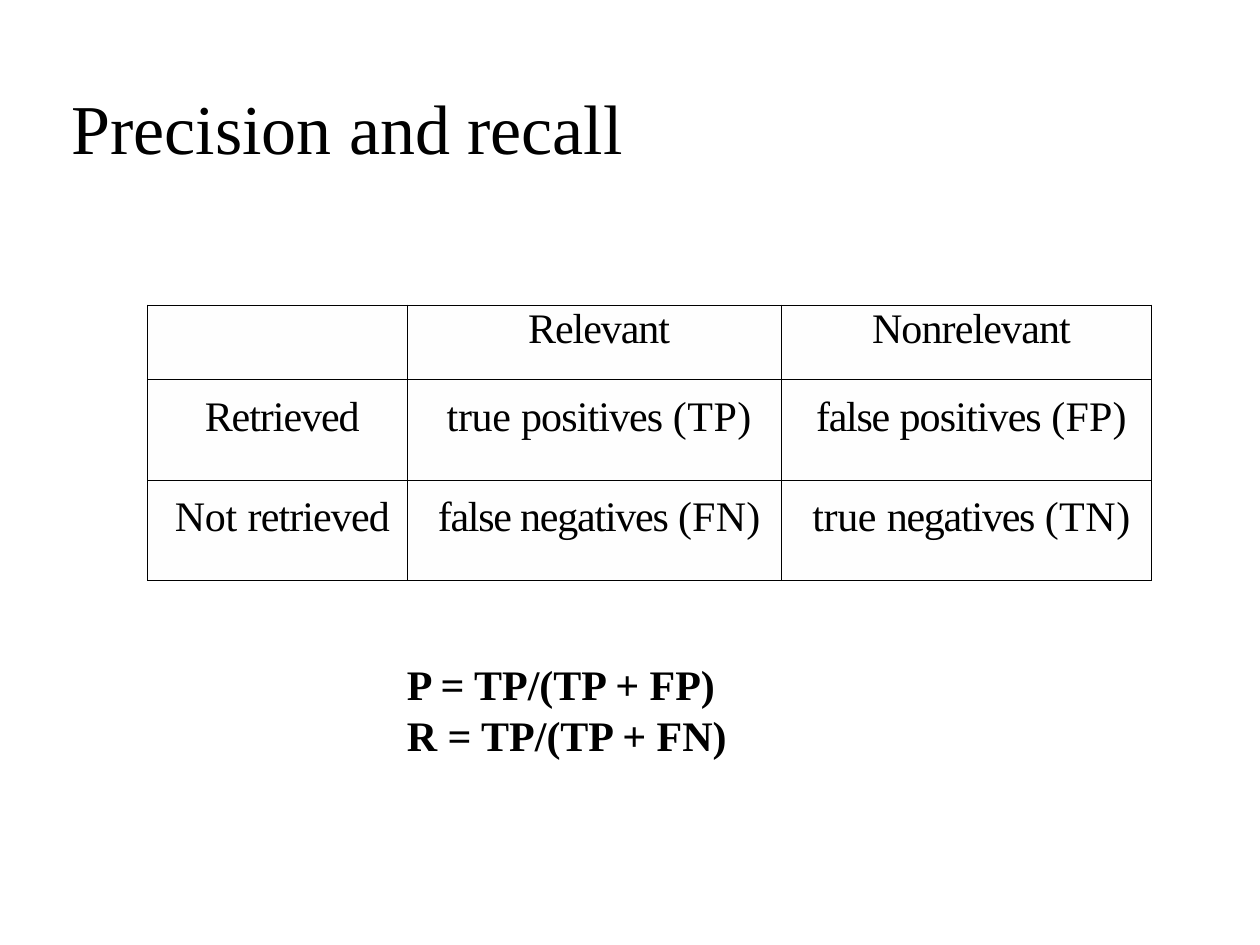
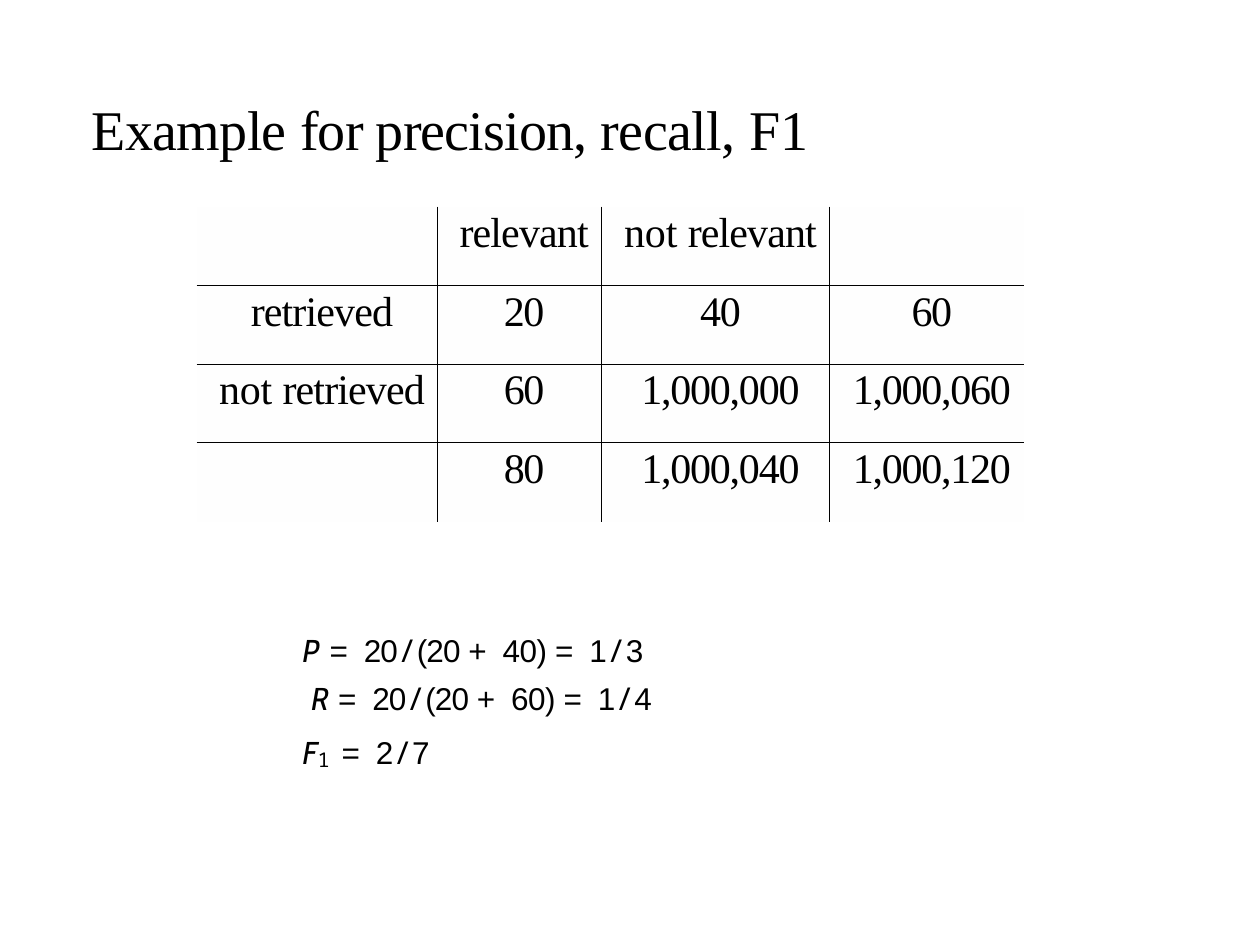
from lxml.etree import SubElement
from pptx import Presentation
from pptx.dml.color import RGBColor
from pptx.enum.text import MSO_ANCHOR, MSO_AUTO_SIZE, PP_ALIGN
from pptx.oxml.ns import qn
from pptx.util import Pt

COLOURS = {"paper": "FFFFFF", "cell": "FEFEFE", "ink": "000000"}
SERIF = "Times New Roman"
TITLE = {"name": SERIF, "size": Pt(40)}
SUBTITLE = {"name": SERIF, "size": Pt(32)}
CELL = {"name": SERIF, "size": Pt(24)}
DEFINITION = {**CELL, "bold": True}
NUMBER = {"name": "Arial", "size": Pt(18)}
VARIABLE = {"name": "Cabin", "size": Pt(18), "italic": True}
SLASH = {"name": "Noto Sans Mono", "size": Pt(18)}
SUBSCRIPT = {"name": "Noto Sans Mono", "size": Pt(20)}
CELL_PARAGRAPH = {"alignment": PP_ALIGN.CENTER, "line_spacing": Pt(11.9)}
FORMULA_PARAGRAPH = {"alignment": PP_ALIGN.JUSTIFY, "line_spacing": 1.25,
                     "space_before": Pt(0.9)}
CELL_INDENT = 5.76
FORMULA_INDENT = 4.3


def rgb(name):
    return RGBColor.from_string(COLOURS[name])


def apply(target, values):
    for name, value in values.items():
        setattr(target, name, value)


def add_run(paragraph, text, style, spacing=0, baseline=0):
    """Spacing is in points, baseline shift in percent."""
    run = paragraph.add_run()
    run.text = text
    apply(run.font, style)
    run.font.color.rgb = rgb("ink")
    for name, value in (("spc", spacing * 100), ("baseline", baseline * 1000)):
        if value:
            run.font._element.set(name, str(round(value)))


def write_paragraph(paragraph, runs, layout, indent=0):
    apply(paragraph, layout)
    if indent:
        paragraph._p.get_or_add_pPr().set("marL", str(Pt(indent)))
    for run in runs:
        add_run(paragraph, *run)


def add_text(slide, box, lines, layout, wrap=True, margins=None):
    """Each line is a pair of its runs and its indent."""
    frame = slide.shapes.add_textbox(*map(Pt, box)).text_frame
    apply(frame, {"word_wrap": wrap, "auto_size": MSO_AUTO_SIZE.SHAPE_TO_FIT_TEXT,
                  **(margins or {})})
    for index, (runs, indent) in enumerate(lines):
        paragraph = frame.add_paragraph() if index else frame.paragraphs[0]
        write_paragraph(paragraph, runs, layout, indent)


def add_border(cell, side, visible):
    line = SubElement(cell._tc.get_or_add_tcPr(), qn(f"a:ln{side}"), w=str(Pt(0.5)))
    if visible:
        fill = SubElement(line, qn("a:solidFill"))
        SubElement(fill, qn("a:srgbClr"), val=COLOURS["ink"])
    else:
        SubElement(line, qn("a:noFill"))


def add_matrix(slide, left, top, widths, heights, rows, framed):
    """Rows hold cells, cells hold (text, spacing) runs; framed draws the outer edges."""
    table = slide.shapes.add_table(
        len(heights), len(widths), Pt(left), Pt(top),
        Pt(sum(widths)), Pt(sum(heights))).table
    apply(table, {"first_row": False, "horz_banding": False})
    for column, width in zip(table.columns, widths):
        column.width = Pt(width)
    for r, (height, row) in enumerate(zip(heights, rows)):
        table.rows[r].height = Pt(height)
        for c, runs in enumerate(row):
            cell = table.cell(r, c)
            apply(cell, {"vertical_anchor": MSO_ANCHOR.MIDDLE, "margin_left": 0,
                         "margin_right": 0, "margin_top": 0, "margin_bottom": 0})
            inner = {"L": c > 0, "R": c < len(widths) - 1,
                     "T": r > 0, "B": r < len(heights) - 1}
            for side, visible in inner.items():
                add_border(cell, side, framed or visible)
            cell.fill.solid()
            cell.fill.fore_color.rgb = rgb("cell")
            write_paragraph(cell.text_frame.paragraphs[0],
                            [(text, CELL, spacing) for text, spacing in runs],
                            CELL_PARAGRAPH, CELL_INDENT)


def ratio(name, spacing, missed, result):
    """Runs of a line such as P = 20/(20 + 40) = 1/3."""
    return [(f"{name} ", VARIABLE, spacing), ("= ", NUMBER, 2), ("20", NUMBER, -0.5),
            ("/", SLASH, -0.5), ("(20 ", NUMBER, -0.5), ("+ ", NUMBER, 2),
            (f"{missed}) ", NUMBER, -0.3), ("= ", NUMBER, 2), ("1", NUMBER, -0.7),
            ("/", SLASH, -0.7), (result, NUMBER, -0.7)]


def add_blank_slide(deck):
    slide = deck.slides.add_slide(deck.slide_layouts[6])
    slide.background.fill.solid()
    slide.background.fill.fore_color.rgb = rgb("paper")
    return slide


def build_definitions(slide):
    add_text(slide, (33.84, 44.64, 333.36, 55.44),
             [([("Precision and recall", TITLE)], 0)], {}, wrap=False)
    add_text(slide, (225.36, 372.96, 219.6, 65.52),
             [([(text, DEFINITION)], 0)
              for text in ("P = TP/(TP + FP)", "R = TP/(TP + FN)")], {})
    outcomes = [
        [[], [("Relevant", -0.6)], [("Nonrelevant", -0.5)]],
        [[("Retrieved", -0.6)],
         [("true ", -0.2), ("positives ", -0.5), ("(TP)", 0.3)],
         [("false ", -0.7), ("positives ", -0.5), ("(FP)", 0.1)]],
        [[("Not ", -0.1), ("retrieved", -0.5)],
         [("false negatives ", -0.7), ("(FN)", 0.1)],
         [("true ", -0.2), ("negatives ", -0.7), ("(TN)", 0.3)]],
    ]
    add_matrix(slide, 84.24, 174.24, (148.32, 213.84, 211.68),
               (42.48, 57.6, 57.6), outcomes, framed=True)


def build_example(slide):
    counts = [
        [[], [("relevant", -0.5)], [("not ", -0.1), ("relevant", -0.5)], []],
        [[("retrieved", -0.5)], [("20", -0.8)], [("40", -0.8)], [("60", -0.8)]],
        [[("not ", -0.1), ("retrieved", -0.5)], [("60", -0.8)],
         [("1,000,000", -0.7)], [("1,000,060", -0.7)]],
        [[], [("80", -0.8)], [("1,000,040", -0.7)], [("1,000,120", -0.7)]],
    ]
    add_matrix(slide, 112.32, 118.08, (137.52, 93.6, 130.8, 110.88),
               (45,) * 4, counts, framed=False)
    heading = [("Example ", SUBTITLE, -0.4), ("for precision, ", SUBTITLE, -0.5),
               ("recall, ", SUBTITLE, -0.3), ("F1", SUBTITLE, -0.1)]
    add_text(slide, (44.64, 50.4, 429.12, 46.08), [(heading, 0.72)],
             {"space_before": Pt(1.4)}, wrap=False)
    f_measure = [("F", VARIABLE, -0.2), ("1 ", SUBSCRIPT, -0.3, -10),
                 ("= ", NUMBER, 2), ("2", NUMBER, -0.7), ("/", SLASH, -0.7),
                 ("7", NUMBER, -0.7)]
    add_text(slide, (168.48, 354.24, 236.16, 84.96),
             [(ratio("P", 0.9, 40, "3"), FORMULA_INDENT),
              (ratio("R", 0.6, 60, "4"), FORMULA_INDENT + 5),
              (f_measure, FORMULA_INDENT)],
             FORMULA_PARAGRAPH,
             margins={"margin_left": 0, "margin_right": 0,
                      "margin_top": Pt(0.72), "margin_bottom": 0})


def main():
    deck = Presentation()
    apply(deck, {"slide_width": Pt(720), "slide_height": Pt(540)})
    build_definitions(add_blank_slide(deck))
    build_example(add_blank_slide(deck))
    deck.save("out.pptx")


if __name__ == "__main__":
    main()
